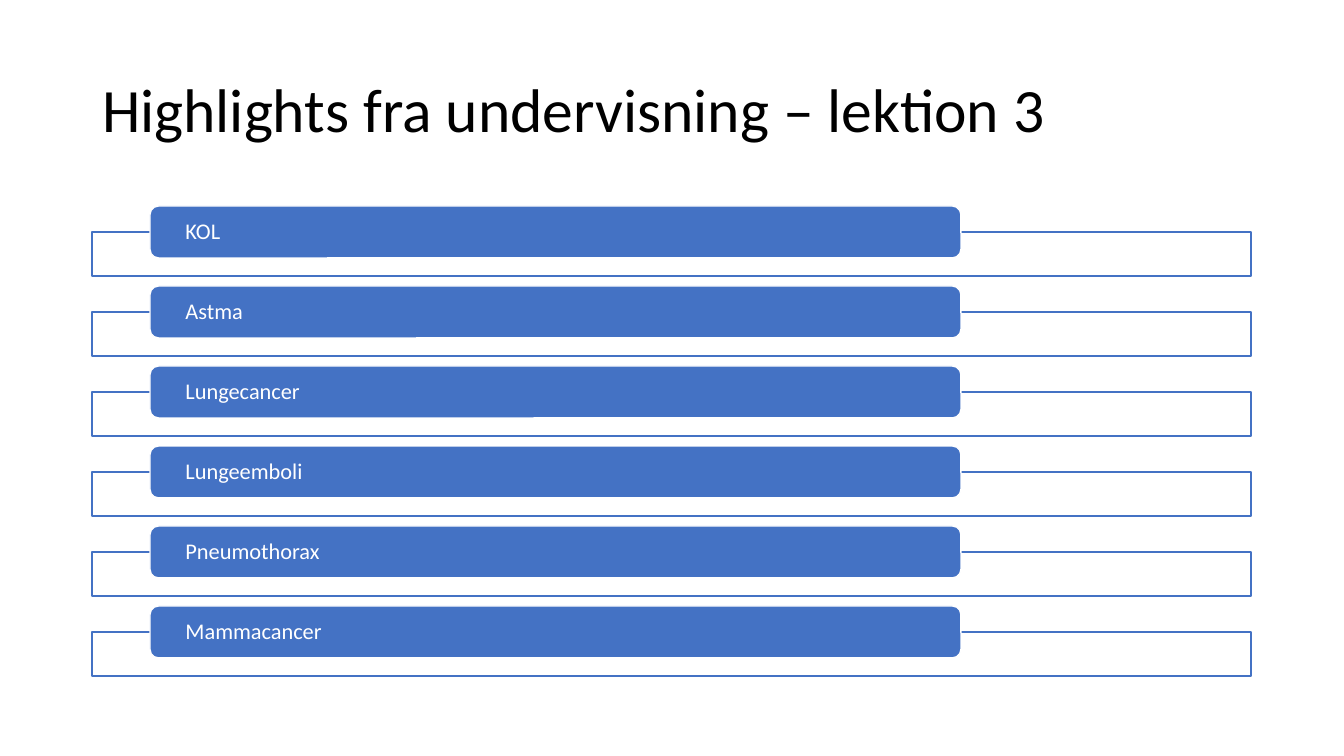
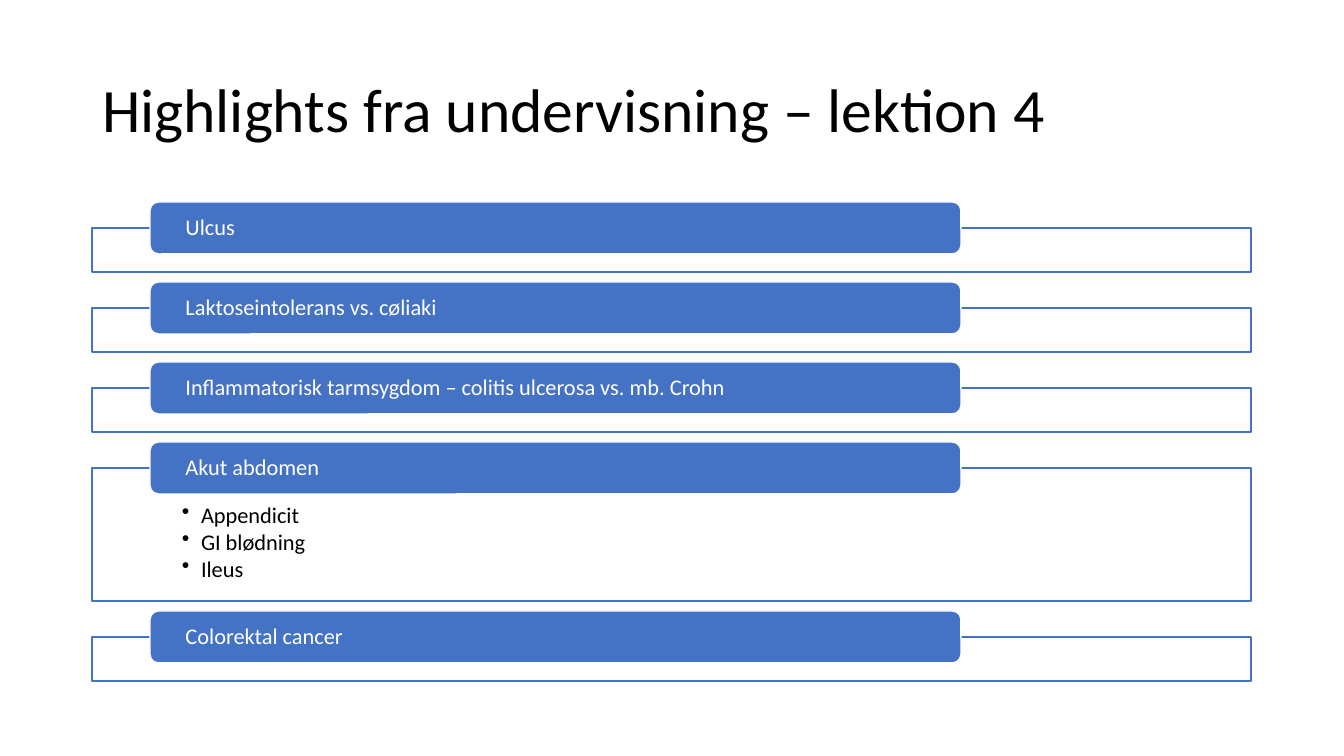
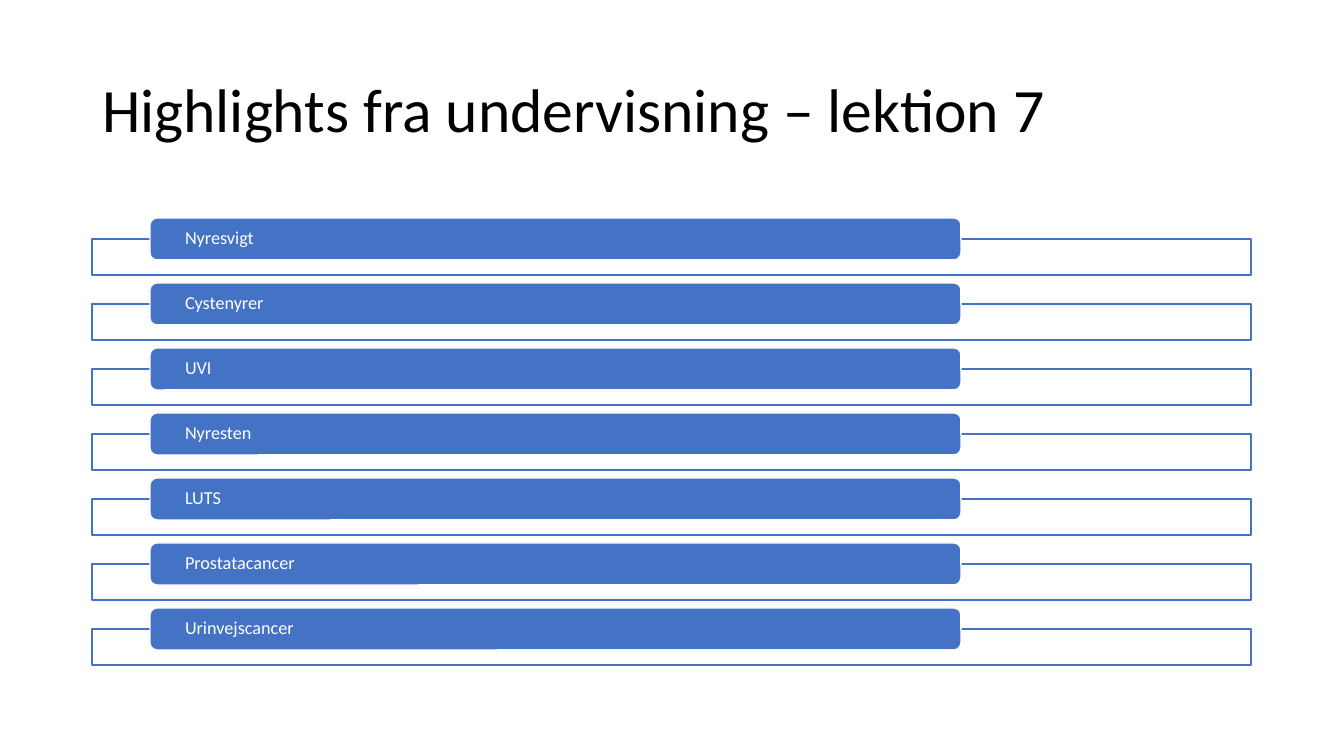
import pptx
import pptx.util
import pptx.dml.color
import pptx.enum.shapes
import pptx.enum.text
import pptx.oxml.ns
import lxml.etree

SHAPE = pptx.enum.shapes.MSO_SHAPE
ANCHOR = pptx.enum.text.MSO_ANCHOR
LEFT = pptx.enum.text.PP_ALIGN.LEFT
BLUE = pptx.dml.color.RGBColor(0x44, 0x72, 0xC4)
WHITE = pptx.dml.color.RGBColor(0xFF, 0xFF, 0xFF)
BLACK = pptx.dml.color.RGBColor(0x00, 0x00, 0x00)
FONT = "Calibri"

EDGE, WIDTH = 92, 1159
BAR_X, BAR_W = 150, 811
LIST_H = 89

LARGE = {"bar": 52, "box": 44, "pitch": 80, "size": 16}
SMALL = {"bar": 42, "box": 36, "pitch": 65, "size": 13}

SLIDES = [
    ("Highlights fra undervisning – lektion 3", 206, LARGE, [
        ("KOL", []),
        ("Astma", []),
        ("Lungecancer", []),
        ("Lungeemboli", []),
        ("Pneumothorax", []),
        ("Mammacancer", []),
    ]),
    ("Highlights fra undervisning – lektion 4", 202, LARGE, [
        ("Ulcus", []),
        ("Laktoseintolerans vs. cøliaki", []),
        ("Inflammatorisk tarmsygdom – colitis ulcerosa vs. mb. Crohn", []),
        ("Akut abdomen", ["Appendicit", "GI blødning", "Ileus"]),
        ("Colorektal cancer", []),
    ]),
    ("Highlights fra undervisning – lektion 7", 218, SMALL, [
        ("Nyresvigt", []),
        ("Cystenyrer", []),
        ("UVI", []),
        ("Nyresten", []),
        ("LUTS", []),
        ("Prostatacancer", []),
        ("Urinvejscancer", []),
    ]),
]


def px(count):
    return pptx.util.Emu(round(count * 914400 / 100.8))


def style(para, size, color):
    para.alignment = LEFT
    para.line_spacing = 0.9
    for run in para.runs:
        run.font.name = FONT
        run.font.size = pptx.util.Pt(size)
        run.font.color.rgb = color


def inset(frame, left, top, right, bottom):
    frame.margin_left = px(left)
    frame.margin_top = px(top)
    frame.margin_right = px(right)
    frame.margin_bottom = px(bottom)
    frame.word_wrap = True


def add_title(slide, text):
    title = slide.shapes.title
    title.left, title.top = px(EDGE), px(40)
    title.width, title.height = px(WIDTH), px(146)
    title.text_frame.text = text
    title.text_frame.vertical_anchor = ANCHOR.MIDDLE
    style(title.text_frame.paragraphs[0], 44, BLACK)


def add_block(slide, kind, place, fill, line):
    block = slide.shapes.add_shape(kind, *map(px, place))
    block.shadow.inherit = False
    block.fill.solid()
    block.fill.fore_color.rgb = fill
    block.line.color.rgb = line
    block.line.width = pptx.util.Pt(1)
    return block


def add_bullet(para):
    props = para._p.get_or_add_pPr()
    props.set("marL", str(px(19)))
    props.set("indent", str(-px(19)))
    mark = lxml.etree.SubElement(props, pptx.oxml.ns.qn("a:buChar"))
    mark.set("char", "•")


def add_box(slide, top, height, items, size):
    box = add_block(slide, SHAPE.RECTANGLE, (EDGE, top, WIDTH, height),
                    WHITE, BLUE)
    if not items:
        return
    frame = box.text_frame
    inset(frame, 90, 36, 90, 12)
    frame.vertical_anchor = ANCHOR.TOP
    frame.text = "\n".join(items)
    for para in frame.paragraphs:
        add_bullet(para)
        style(para, size, BLACK)
        para.space_after = pptx.util.Pt(2)


def add_bar(slide, top, height, text, size):
    bar = add_block(slide, SHAPE.ROUNDED_RECTANGLE,
                    (BAR_X, top, BAR_W, height), BLUE, WHITE)
    frame = bar.text_frame
    inset(frame, 33, 0, 33, 0)
    frame.vertical_anchor = ANCHOR.MIDDLE
    frame.text = text
    style(frame.paragraphs[0], size, WHITE)


def add_topics(slide, top, look, topics):
    for text, items in topics:
        extra = LIST_H if items else 0
        add_box(slide, top + look["bar"] // 2, look["box"] + extra,
                items, look["size"])
        add_bar(slide, top, look["bar"], text, look["size"])
        top += look["pitch"] + extra


def main():
    deck = pptx.Presentation()
    deck.slide_width, deck.slide_height = px(1344), px(756)
    for title, top, look, topics in SLIDES:
        slide = deck.slides.add_slide(deck.slide_layouts[5])
        add_title(slide, title)
        add_topics(slide, top, look, topics)
    deck.save("out.pptx")


if __name__ == "__main__":
    main()
